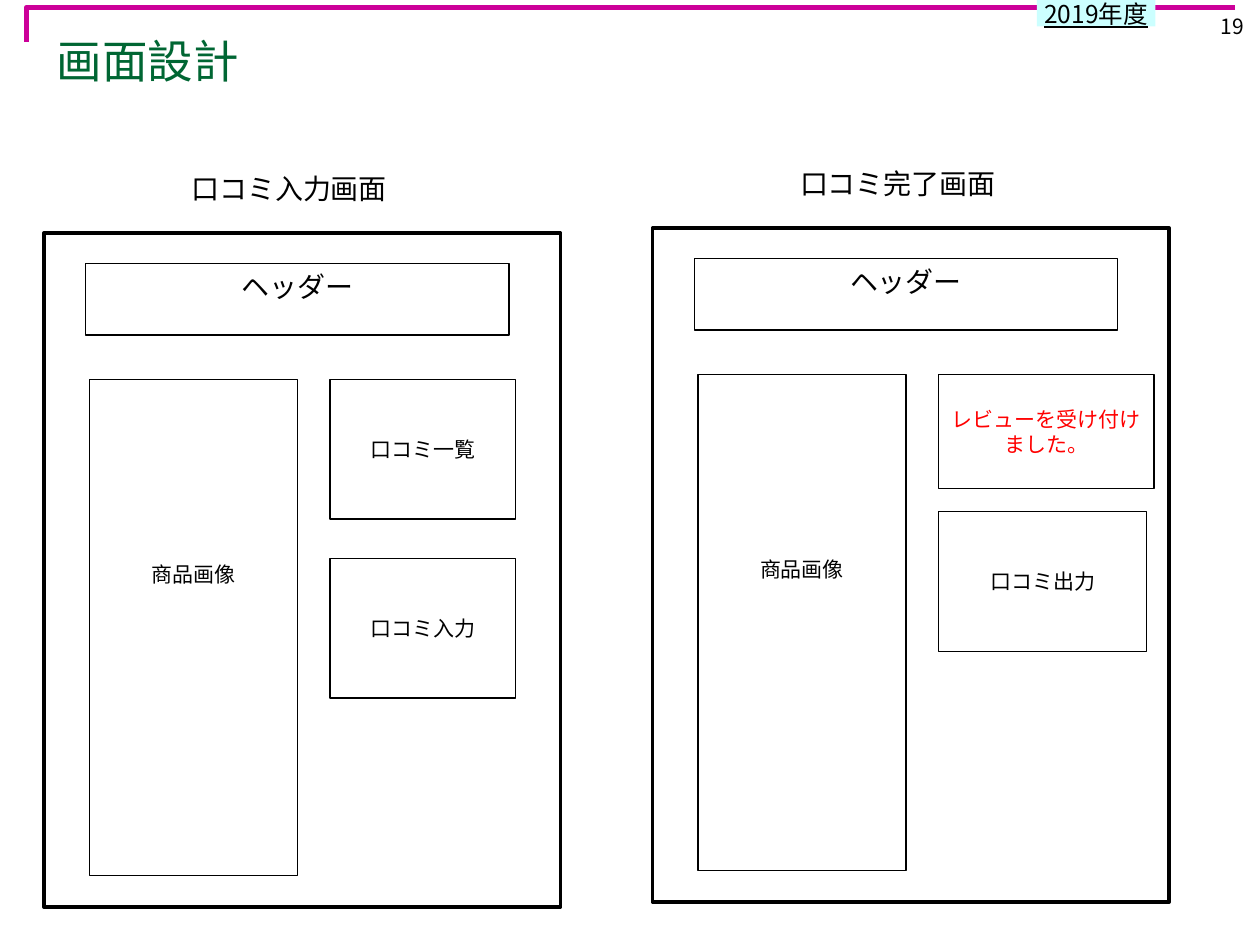
from dataclasses import dataclass
from lxml import etree
from pptx import Presentation
from pptx.dml.color import RGBColor as RGB
from pptx.enum.shapes import MSO_SHAPE as Shape
from pptx.enum.text import MSO_ANCHOR as Anchor, PP_ALIGN as Align
from pptx.oxml.ns import qn
from pptx.util import Inches, Pt


@dataclass(frozen=True)
class Theme:
    ink: str = "000000"
    paper: str = "FFFFFF"
    title: str = "006633"
    rule: str = "CC0099"
    badge: str = "CCFFFF"
    alert: str = "FF0000"
    font: str = "Noto Sans CJK JP"
    box_font: str = "Arial"
    title_size: int = 26
    heading_size: int = 16
    badge_size: int = 14
    body_size: int = 12


T = Theme()


def write(sp, text, size=T.body_size, color=T.ink, font=T.font, align=Align.CENTER,
          anchor=Anchor.MIDDLE, underline=None, wrap=True, top=0.05, side=0.1):
    tf = sp.text_frame
    tf.word_wrap = wrap
    tf.vertical_anchor = anchor
    tf.margin_top, tf.margin_bottom = Inches(top), Inches(0.05)
    tf.margin_left = tf.margin_right = Inches(side)
    for i, line in enumerate(text.split("\n")):
        p = tf.paragraphs[0] if i == 0 else tf.add_paragraph()
        p.alignment = align
        r = p.add_run()
        r.text = line
        r.font.size = Pt(size)
        r.font.name = font
        r.font.underline = underline
        r.font.color.rgb = RGB.from_string(color)
        ea = etree.SubElement(r.font._element, qn("a:ea"))
        ea.set("typeface", T.font)


def add_box(shapes, x, y, w, h, fill=None, line=None, width=0.75):
    sp = shapes.add_shape(Shape.RECTANGLE, Inches(x), Inches(y), Inches(w), Inches(h))
    sp.shadow.inherit = False
    if fill:
        sp.fill.solid()
        sp.fill.fore_color.rgb = RGB.from_string(fill)
    else:
        sp.fill.background()
    if line:
        sp.line.color.rgb = RGB.from_string(line)
        sp.line.width = Pt(width)
    else:
        sp.line.fill.background()
    return sp


prs = Presentation()
prs.slide_width, prs.slide_height = Inches(10), Inches(7.5)
s = prs.slides.add_slide(prs.slide_layouts[5])

builder = s.shapes.build_freeform(Inches(0.21), Inches(0.33))
builder.add_line_segments([(Inches(0.21), Inches(0.06)), (Inches(9.8), Inches(0.06))], close=False)
rule = builder.convert_to_shape()
rule.shadow.inherit = False
rule.fill.background()
rule.line.color.rgb = RGB.from_string(T.rule)
rule.line.width = Pt(3)

badge = add_box(s.shapes, 8.23, 0, 0.94, 0.21, fill=T.badge)
write(badge, "2019年度", size=T.badge_size, underline=True, wrap=False)

number = s.shapes.add_textbox(Inches(9.15), Inches(0.09), Inches(0.82), Inches(0.27))
write(number, "19", align=Align.RIGHT, anchor=Anchor.BOTTOM)

title = s.shapes.title
title.left, title.top, title.width, title.height = Inches(0.35), Inches(0.21), Inches(7.87), Inches(0.69)
write(title, "画面設計", size=T.title_size, color=T.title, align=Align.LEFT, anchor=Anchor.TOP)

screens = [
    (0.35, 1.85, "口コミ入力画面", [
        ("口コミ一覧", 1.16, 1.47, 1.11, T.ink),
        ("口コミ入力", 2.58, 1.47, 1.11, T.ink),
    ]),
    (5.18, 1.81, "口コミ完了画面", [
        ("レビューを受け付け\nました。", 1.16, 1.71, 0.91, T.alert),
        ("口コミ出力", 2.25, 1.65, 1.11, T.ink),
    ]),
]
for x, y, name, panels in screens:
    shapes = s.shapes.add_group_shape().shapes
    add_box(shapes, x, y, 4.1, 5.35, fill=T.paper, line=T.ink, width=2)

    header = add_box(shapes, x + 0.33, y + 0.24, 3.36, 0.57, line=T.ink)
    write(header, "ヘッダー", size=T.heading_size, font=T.box_font, anchor=Anchor.TOP)

    product = add_box(shapes, x + 0.36, y + 1.16, 1.65, 3.94, line=T.ink)
    write(product, "商品画像", font=T.box_font, anchor=Anchor.TOP, top=1.45)

    heading = add_box(shapes, x + 0.49, y - 0.54, 2.91, 0.37, line=T.paper)
    write(heading, name, size=T.heading_size, font=T.box_font, anchor=Anchor.TOP)

    for text, dy, w, h, color in panels:
        panel = add_box(shapes, x + 2.27, y + dy, w, h, line=T.ink)
        write(panel, text, color=color, font=T.box_font, side=0.05)

prs.save("out.pptx")
